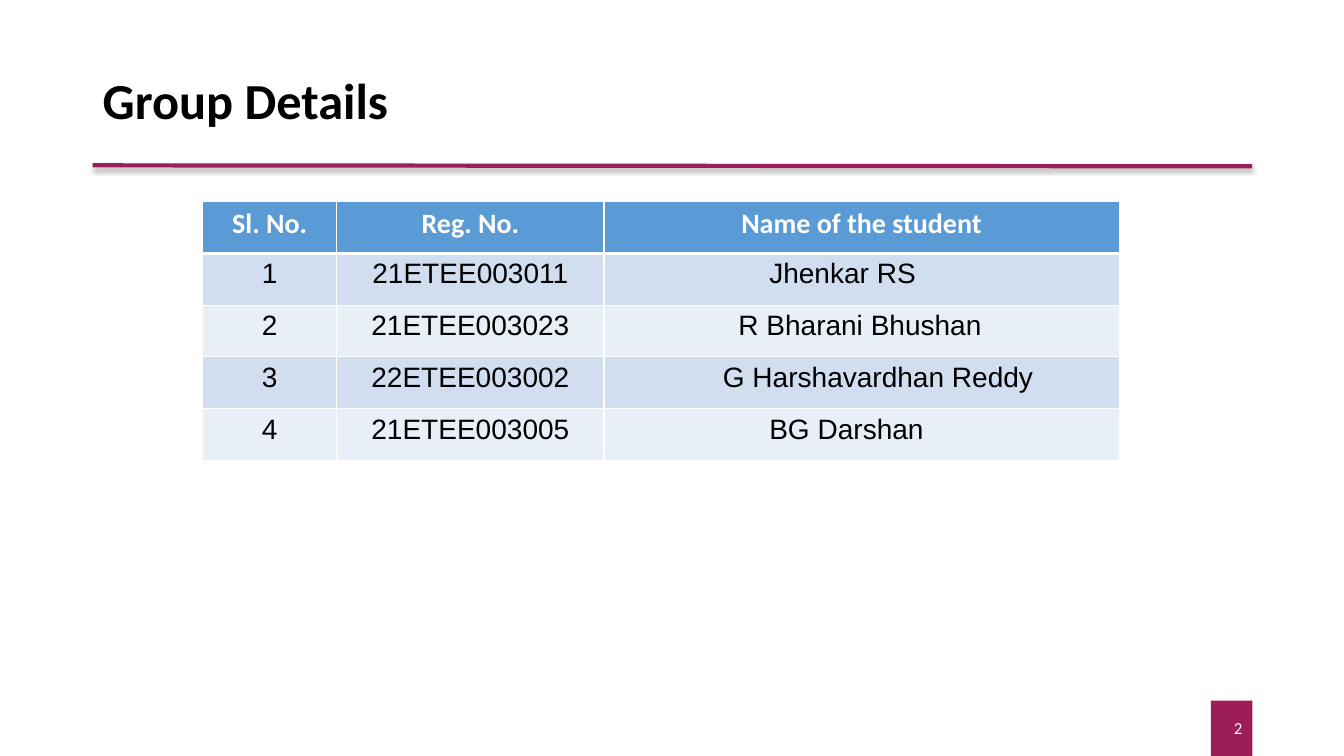
from lxml import etree
from pptx import Presentation
from pptx.dml.color import RGBColor
from pptx.enum.shapes import MSO_CONNECTOR, MSO_SHAPE
from pptx.enum.text import MSO_ANCHOR, PP_ALIGN
from pptx.oxml import parse_xml
from pptx.util import Inches, Pt

STRAIGHT = MSO_CONNECTOR.STRAIGHT
RECTANGLE = MSO_SHAPE.RECTANGLE
MIDDLE = MSO_ANCHOR.MIDDLE
LEFT, CENTER, RIGHT = PP_ALIGN.LEFT, PP_ALIGN.CENTER, PP_ALIGN.RIGHT
DRAWING_NS = "http://schemas.openxmlformats.org/drawingml/2006/main"

HEADINGS = ["Sl. No.", "Reg. No.", "Name of the student"]
STUDENTS = [
    ("21ETEE003011", "Jhenkar RS", 12.3),
    ("21ETEE003023", "R Bharani Bhushan", 10),
    ("22ETEE003002", "G Harshavardhan Reddy", 8.85),
    ("21ETEE003005", "BG Darshan", 12.3),
]


def color(value):
    return RGBColor.from_string(value)


class GroupSlide:
    heading_font = "Calibri"
    body_font = "Arial"
    accent = "9D1D59"
    header_fill = "5B9BD5"
    band_fills = ("D1DEEF", "E9EFF7")
    white = "FFFFFF"
    black = "000000"

    def __init__(self, deck):
        self.width, self.height = deck.slide_width, deck.slide_height
        self.slide = deck.slides.add_slide(deck.slide_layouts[6])
        self.shapes = self.slide.shapes

    def x(self, percent):
        return round(self.width * percent / 100)

    def y(self, percent):
        return round(self.height * percent / 100)

    def box(self, left, top, width, height):
        return self.x(left), self.y(top), self.x(width), self.y(height)

    def set_text(self, frame, text, size, font, fill, bold=False, align=LEFT):
        paragraph = frame.paragraphs[0]
        paragraph.text = text
        paragraph.alignment = align
        paragraph.font.size = Pt(size)
        paragraph.font.name = font
        paragraph.font.bold = bold
        paragraph.font.color.rgb = color(fill)
        return paragraph

    def title(self, text, *area):
        frame = self.shapes.add_textbox(*self.box(*area)).text_frame
        frame.word_wrap = True
        frame.vertical_anchor = MIDDLE
        heading = self.set_text(frame, text, 36, self.heading_font, self.black, True)
        heading.line_spacing = 0.9

    def rule(self, left, top, right, bottom):
        rule = self.shapes.add_connector(
            STRAIGHT, self.x(left), self.y(top), self.x(right), self.y(bottom))
        rule.line.color.rgb = color(self.accent)
        rule.line.width = Pt(3)
        rule._element.spPr.append(parse_xml(
            f'<a:effectLst xmlns:a="{DRAWING_NS}">'
            f'<a:outerShdw blurRad="{Pt(3.1)}" dist="{Pt(1.8)}" dir="5400000">'
            f'<a:srgbClr val="{self.black}"><a:alpha val="35000"/></a:srgbClr>'
            '</a:outerShdw></a:effectLst>'))

    def page_number(self, text, *area):
        badge = self.shapes.add_shape(RECTANGLE, *self.box(*area))
        badge.shadow.inherit = False
        badge.fill.solid()
        badge.fill.fore_color.rgb = color(self.accent)
        badge.line.fill.background()
        badge.text_frame.vertical_anchor = MIDDLE
        self.set_text(badge.text_frame, text, 12, self.heading_font, self.white,
                      align=RIGHT)

    def borders(self, cell, top, bottom):
        properties = cell._tc.get_or_add_tcPr()
        for side, width in (("L", 0.96), ("R", 0.96), ("T", top), ("B", bottom)):
            border = etree.SubElement(
                properties, f"{{{DRAWING_NS}}}ln{side}", w=str(Pt(width)))
            fill = etree.SubElement(border, f"{{{DRAWING_NS}}}solidFill")
            etree.SubElement(fill, f"{{{DRAWING_NS}}}srgbClr", val=self.white)

    def cell(self, cell, text, row, indent=None):
        header = row == 0
        self.borders(cell, 3 if row == 1 else 0.96, 3 if header else 0.96)
        cell.fill.solid()
        cell.fill.fore_color.rgb = color(
            self.header_fill if header else self.band_fills[(row - 1) % 2])
        if indent is not None:
            cell.margin_left = self.x(indent)
        self.set_text(cell.text_frame, text, 20,
                      self.heading_font if header else self.body_font,
                      self.white if header else self.black, header,
                      CENTER if indent is None else LEFT)

    def student_table(self, left, top, widths, row_height):
        row_count = len(STUDENTS) + 1
        table = self.shapes.add_table(
            row_count, len(widths),
            *self.box(left, top, sum(widths), row_height * row_count)).table
        for column, width in zip(table.columns, widths):
            column.width = self.x(width)
        for row in table.rows:
            row.height = self.y(row_height)
        for column, heading in enumerate(HEADINGS):
            self.cell(table.cell(0, column), heading, 0)
        for row, (registration, student, indent) in enumerate(STUDENTS, 1):
            self.cell(table.cell(row, 0), str(row), row)
            self.cell(table.cell(row, 1), registration, row)
            self.cell(table.cell(row, 2), student, row, indent)


def main():
    deck = Presentation()
    deck.slide_width, deck.slide_height = Inches(13.33), Inches(7.5)
    group = GroupSlide(deck)
    group.rule(6.9, 21.87, 93.17, 22)
    group.page_number("2", 90.1, 92.67, 3.08, 7.33)
    group.title("Group Details", 6.9, 5.33, 67.97, 16.67)
    group.student_table(15.08, 26.67, (9.98, 19.88, 38.33), 6.85)
    deck.save("out.pptx")


if __name__ == "__main__":
    main()
